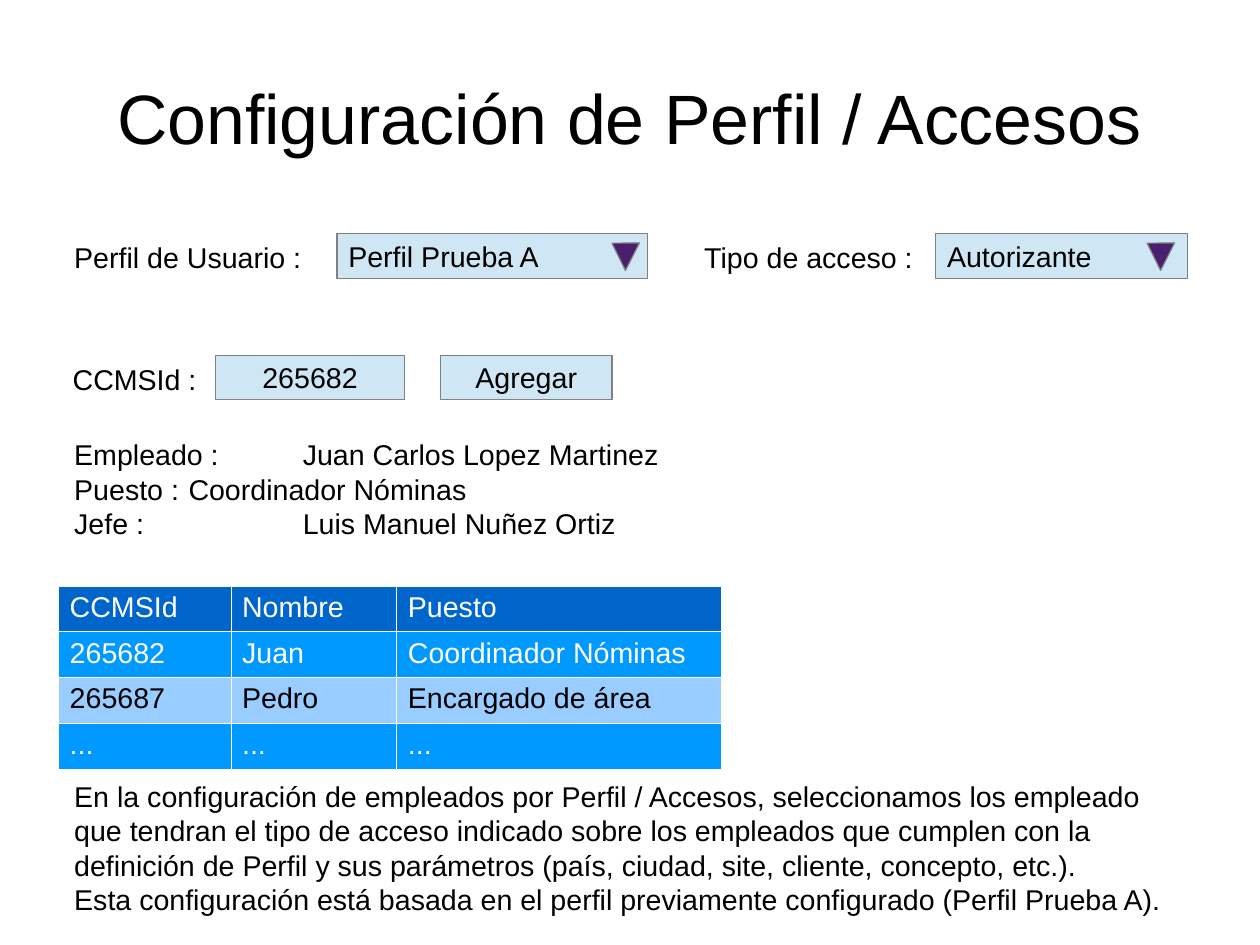
"""Build the profile and access set-up slide."""
from dataclasses import dataclass

from lxml.etree import SubElement
from pptx import Presentation
from pptx.dml.color import RGBColor as Rgb
from pptx.enum.shapes import MSO_SHAPE as Kind
from pptx.enum.text import MSO_ANCHOR as Anchor, PP_ALIGN as Align
from pptx.oxml.ns import qn
from pptx.util import Cm, Inches, Pt


@dataclass(frozen=True)
class Theme:
    """Hold the colours, font and type sizes."""
    font: str = "Arial"
    title: int = 44
    body: int = 18
    ink: str = "000000"
    white: str = "FFFFFF"
    field: str = "CFE7F5"
    edge: str = "808080"
    arrow: str = "4B1F6F"
    head: str = "0066CC"
    odd: str = "0099FF"
    even: str = "99CCFF"


LOOK = Theme()
WIDE, HIGH = Cm(28), Cm(21)
LINE = 4.72
ROWS = [
    ("CCMSId", "Nombre", "Puesto"),
    ("265682", "Juan", "Coordinador Nóminas"),
    ("265687", "Pedro", "Encargado de área"),
    ("...", "...", "..."),
]
STAFF = [
    "Empleado : \tJuan Carlos Lopez Martinez",
    "Puesto : \tCoordinador Nóminas",
    "Jefe : \t\tLuis Manuel Nuñez Ortiz",
]
NOTES = [
    "En la configuración de empleados por Perfil / Accesos, seleccionamos los "
    "empleado que tendran el tipo de acceso indicado sobre los empleados que "
    "cumplen con la definición de Perfil y sus parámetros (país, ciudad, site, "
    "cliente, concepto, etc.).",
    "Esta configuración está basada en el perfil previamente configurado "
    "(Perfil Prueba A).",
]


def grid(box):
    """Turn a box on the 100 by 100 grid into slide lengths."""
    x, y, w, h = box
    return [int(n * side / 100) for n, side in ((x, WIDE), (y, HIGH), (w, WIDE), (h, HIGH))]


def style(para, align=Align.LEFT, size=LOOK.body, ink=LOOK.ink):
    """Set the alignment and font of a paragraph."""
    para.alignment = align
    font = para.font
    font.name, font.size = LOOK.font, Pt(size)
    font.color.rgb = Rgb.from_string(ink)


def stops(para):
    """Put tab stops one and two inches in."""
    tabs = SubElement(para._p.get_or_add_pPr(), qn("a:tabLst"))
    for inch in (1, 2):
        SubElement(tabs, qn("a:tab"), pos=str(Inches(inch)), algn="l")


def text(slide, box, lines, align=Align.LEFT, size=LOOK.body, anchor=Anchor.TOP, tabs=False):
    """Write lines of text in a box."""
    frame = slide.shapes.add_textbox(*grid(box)).text_frame
    frame.word_wrap, frame.vertical_anchor = True, anchor
    frame.text = "\n".join(lines)
    for para in frame.paragraphs:
        if tabs:
            stops(para)
        style(para, align, size)
    return frame


def form(slide, kind, box, fill):
    """Draw a filled shape with a hairline edge."""
    shape = slide.shapes.add_shape(kind, *grid(box))
    shape.shadow.inherit = False
    shape.fill.solid()
    shape.fill.fore_color.rgb = Rgb.from_string(fill)
    shape.line.color.rgb = Rgb.from_string(LOOK.edge)
    shape.line.width = Pt(0)
    return shape


def field(slide, box, value, align=Align.CENTER):
    """Draw a field or button with its value."""
    frame = form(slide, Kind.RECTANGLE, box, LOOK.field).text_frame
    frame.vertical_anchor = Anchor.MIDDLE
    frame.text = value
    style(frame.paragraphs[0], align)


def title(slide, box, words):
    """Write the centred title."""
    frame = text(slide, box, [words], Align.CENTER, LOOK.title, Anchor.MIDDLE)
    frame.margin_left = frame.margin_right = frame.margin_top = frame.margin_bottom = 0


def picker(slide, box, label, value, lead, gap):
    """Place a label and its drop-down list."""
    x, y, w, h = box
    text(slide, (x, y, lead, h), [label])
    field(slide, (x + lead, y, w - lead, h), value, Align.LEFT)
    side = 2.18
    spot = (x + w - gap - side, y + 0.97, side, 2.9)
    arrow = form(slide, Kind.ISOSCELES_TRIANGLE, spot, LOOK.arrow)
    arrow.adjustments[0] = 0.52
    arrow.rotation = 179.4


def entry(slide, box):
    """Place the employee number and the add button."""
    x, y, w, h = box
    lead = 13.61
    text(slide, (x, y + 0.15, lead - 0.63, h), ["CCMSId :"], Align.RIGHT)
    field(slide, (x + lead, y, 14.97, h), "265682")
    field(slide, (x + w - lead, y, lead, h), "Agregar")


def border(cell):
    """Give a cell thin white borders."""
    props = cell._tc.get_or_add_tcPr()
    for place, side in enumerate(("lnL", "lnR", "lnT", "lnB")):
        line = SubElement(props, qn("a:" + side), w=str(Pt(0.06)))
        fill = SubElement(line, qn("a:solidFill"))
        SubElement(fill, qn("a:srgbClr"), val=LOOK.white)
        props.insert(place, line)


def people(slide, box):
    """Build the table of employees."""
    x, y, w, h = grid(box)
    table = slide.shapes.add_table(len(ROWS), len(ROWS[0]), x, y, w, h).table
    for col, share in zip(table.columns, (0.26, 0.25, 0.49)):
        col.width = int(w * share)
    looks = [(LOOK.head, LOOK.white), (LOOK.odd, LOOK.white),
             (LOOK.even, LOOK.ink), (LOOK.odd, LOOK.white)]
    for r, (row, (fill, ink)) in enumerate(zip(ROWS, looks)):
        for c, word in enumerate(row):
            cell = table.cell(r, c)
            cell.text = word
            cell.fill.solid()
            cell.fill.fore_color.rgb = Rgb.from_string(fill)
            border(cell)
            style(cell.text_frame.paragraphs[0], ink=ink)


def main():
    """Build the slide and save it."""
    deck = Presentation()
    deck.slide_width = WIDE
    deck.slide_height = HIGH
    slide = deck.slides.add_slide(deck.slide_layouts[6])
    left, wide, top = 5, 90, 24.75
    title(slide, (left, 4, wide, 16.7), "Configuración de Perfil / Accesos")
    picker(slide, (left, top, 46.4, LINE), "Perfil de Usuario :", "Perfil Prueba A", 21.75, 0.64)
    picker(slide, (55, top, 39.23, LINE), "Tipo de acceso :", "Autorizante", 19.27, 1)
    entry(slide, (3.51, 37.58, 45.06, LINE))
    text(slide, (left, 45.67, wide, 14.75), STAFF, tabs=True)
    people(slide, (4.63, 61.98, 52.63, 18.5))
    text(slide, (left, 81.84, wide, 14.75), NOTES)
    deck.save("out.pptx")


if __name__ == "__main__":
    main()
